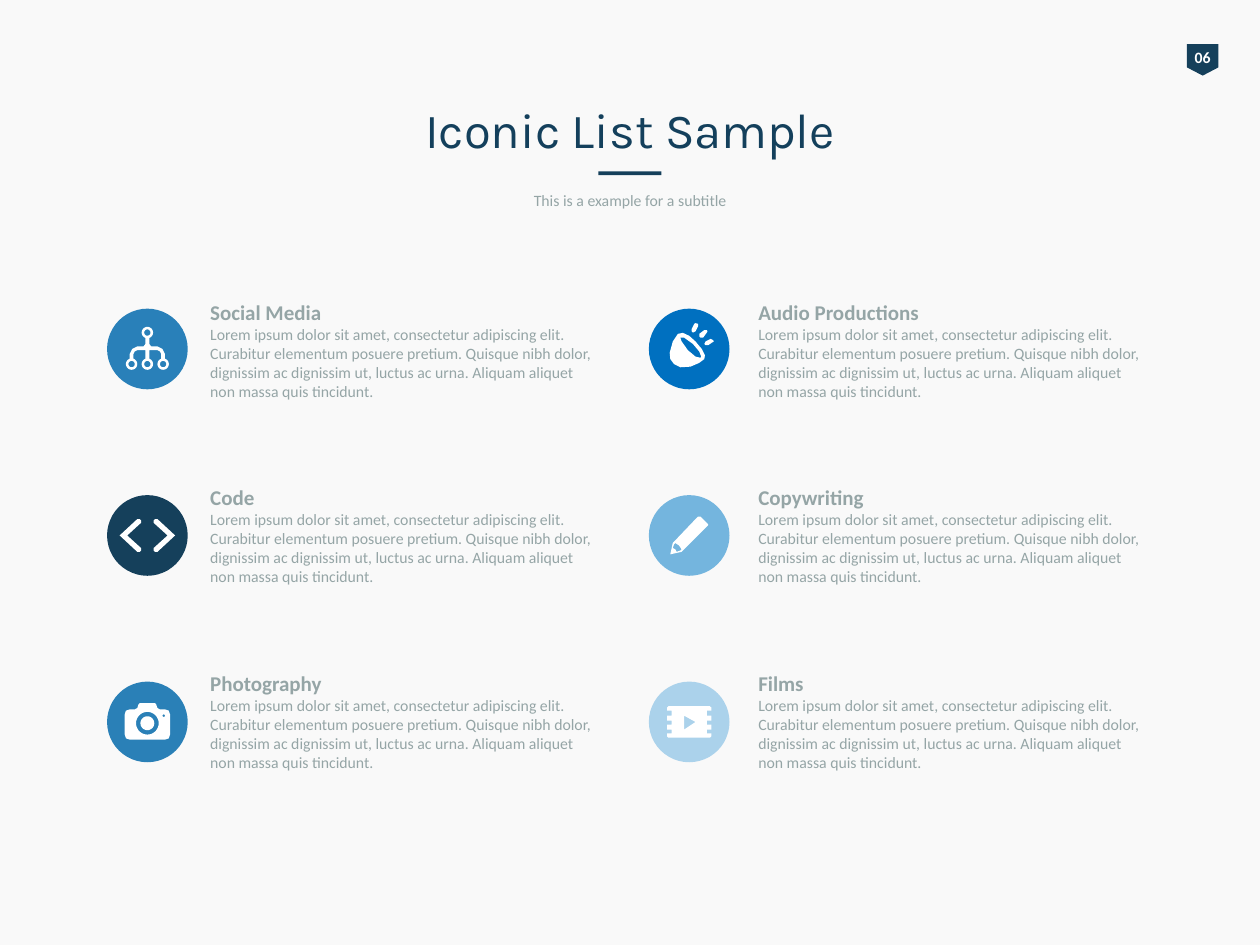
"""Builds the iconic list slide: six round icons, each with a heading and a text."""
from dataclasses import dataclass
from math import cos, pi, sin

from pptx import Presentation
from pptx import util as u
from pptx.dml.color import RGBColor
from pptx.enum import shapes, text
from pptx.oxml.xmlchemy import OxmlElement

Inches = u.Inches


@dataclass(frozen=True)
class Theme:
    """Colours, fonts and type sizes of the slide."""
    paper: str = "F9F9F9"
    navy: str = "15405B"
    title: str = "14405C"
    grey: str = "95A5A6"
    white: str = "FFFFFF"
    blue: str = "2980B9"
    steel: str = "2A80B7"
    bright: str = "0070C0"
    sky: str = "74B5DE"
    pale: str = "ABD2EB"
    title_font: str = "Karla"
    body_font: str = "Calibri"
    title_size: int = 28
    heading_size: int = 12
    body_size: int = 9


def circle(x, y, radius, steps=36):
    """Return the points of a circle."""
    turns = [2 * pi * i / steps for i in range(steps)]
    return [(x + radius * cos(t), y + radius * sin(t)) for t in turns]


def flip(points):
    """Return the points mirrored left to right."""
    return [(-x, y) for x, y in reversed(points)]


def mirrored(half):
    """Return a symmetric outline from its right half."""
    return half + flip(half)


def network():
    """Return a tree of four ringed nodes."""
    nodes = [(0, -13), (-12.5, 12), (0, 12), (12.5, 12)]
    branch = [(1.5, -8.7), (1.5, -4), (3, -2), (8, -2), (12, 0), (14, 4), (14, 7.7),
              (11, 7.7), (11, 4), (10, 2), (8, 1), (1.5, 1), (1.5, 7.7)]
    return [mirrored(branch)] + [circle(x, y, r) for x, y in nodes for r in (4.5, 2.5)]


def brackets():
    """Return a pair of angle brackets."""
    left = [(-8, -13), (-22, 0), (-8, 13), (-6, 13), (-5, 12), (-5, 10), (-16, 0),
            (-5, -10), (-5, -12), (-6, -13)]
    return [left, flip(left)]


def camera():
    """Return a camera with lens and light."""
    body = [(6, -15), (7, -14), (8, -11), (10, -10), (14, -10), (17, -9), (18, -6),
            (18, 10), (17, 13), (14, 14)]
    return [mirrored(body), circle(0, 1, 9), circle(0, 1, 5.5), circle(13, -5, 1)]


def horn():
    """Return a sounding horn with three rays."""
    bell = [(-9, -12), (-13, -6), (-15.5, 3), (-15, 8), (-12, 12), (-7, 14.5), (1, 14),
            (8, 11), (12, 8), (12.5, 5), (10, 0), (5, -6), (0, -10.5), (-5, -12.8)]
    mouth = [(9, 7), (5, 6), (-1, 1), (-6, -6), (-7, -9), (-4, -9), (3, -4), (8, 2), (9.5, 6)]
    rays = [
        [(2, -14), (3, -13), (5, -14), (7, -18), (7, -20), (5, -20.5), (4, -20), (2, -16)],
        [(8, -10), (9, -9), (11, -9), (14, -13), (14.5, -14), (14, -15), (12, -15), (8, -12)],
        [(12, -4), (13, -3), (15, -3), (18, -5), (19.5, -6), (19, -7), (17, -8), (13, -6)],
    ]
    return [bell, mouth] + rays


def pencil():
    """Return a slanted pencil."""
    body = [(7, -15), (9, -15), (12, -12), (15, -9), (15, -8), (-6, 13), (-15, 15), (-13, 6)]
    tip = [(-7, 12), (-10, 13), (-11, 11), (-13, 10), (-12, 7), (-11, 6), (-8, 8), (-6, 11)]
    return [body, tip]


def film():
    """Return a film strip with a play mark."""
    edge = [(16.5, -12.5), (17.5, -11.5)]
    for top, bottom in [(-9, -5), (-1, 2), (6, 9)]:
        edge += [(17.5, top), (14, top), (14, bottom), (17.5, bottom)]
    edge += [(17.5, 11.5), (16.5, 12.5)]
    return [mirrored(edge), [(-4, 6), (-4, -5), (5, 0)]]


class Deck:
    """Holds the theme and the current slide."""

    def __init__(self, prs, theme):
        """Open a title and content slide."""
        self.theme = theme
        self.s = prs.slides.add_slide(prs.slide_layouts[1])
        self.paint(self.s.background, theme.paper)

    def paint(self, target, colour):
        """Fill a target with one colour."""
        target.fill.solid()
        target.fill.fore_color.rgb = RGBColor.from_string(colour)

    def finish(self, sp, colour):
        """Give a shape a flat fill."""
        self.paint(sp, colour)
        sp.line.fill.background()
        sp.shadow.inherit = False
        return sp

    def shape(self, kind, box, colour, parent=None):
        """Add a preset shape."""
        parent = parent or self.s
        return self.finish(parent.shapes.add_shape(kind, *map(Inches, box)), colour)

    def run(self, p, words, size, colour, font=None, bold=False):
        """Add one formatted run."""
        r = p.add_run()
        r.text = words
        r.font.size, r.font.bold = u.Pt(size), bold
        r.font.name = font or self.theme.body_font
        r.font.color.rgb = RGBColor.from_string(colour)

    def placeholder(self, sp, box, words, size, colour, font, anchor):
        """Place and fill a centred placeholder."""
        sp.left, sp.top, sp.width, sp.height = map(Inches, box)
        tf = sp.text_frame
        tf.auto_size, tf.vertical_anchor = text.MSO_AUTO_SIZE.NONE, anchor
        p = tf.paragraphs[0]
        p.alignment, p.space_before = text.PP_ALIGN.CENTER, u.Pt(0)
        pPr = p._p.get_or_add_pPr()
        pPr.set("marL", "0")
        pPr.set("indent", "0")
        pPr.append(OxmlElement("a:buNone"))
        self.run(p, words, size, colour, font)

    def textbox(self, box, wrap=True):
        """Add a text box and return its first paragraph."""
        tf = self.s.shapes.add_textbox(*map(Inches, box)).text_frame
        tf.word_wrap = wrap
        return tf.paragraphs[0]

    def badge(self, number):
        """Add the page number on its tag."""
        tag = self.shape(shapes.MSO_SHAPE.PENTAGON, (9.42, 0.35, 0.25, 0.25), self.theme.navy)
        tag.rotation, tag.adjustments[0] = 90, 0.26
        p = self.textbox((9.38, 0.33, 0.33, 0.19), wrap=False)
        p.alignment = text.PP_ALIGN.CENTER
        self.run(p, number, self.theme.body_size, self.theme.white, bold=True)

    def icon(self, x, y, colour, contours, size=0.64):
        """Add a disc with a white sign, drawn in hundredths of an inch from its centre."""
        group = self.s.shapes.add_group_shape()
        self.shape(shapes.MSO_SHAPE.OVAL, (x, y, size, size), colour, group)
        outlines = [[(Inches(x + size / 2 + dx / 100), Inches(y + size / 2 + dy / 100))
                     for dx, dy in contour] for contour in contours]
        pen = group.shapes.build_freeform(*outlines[0][0])
        for i, outline in enumerate(outlines):
            if i:
                pen.move_to(*outline[0])
            pen.add_line_segments(outline[1:], close=True)
        self.finish(pen.convert_to_shape(), self.theme.white)

    def entry(self, x, y, heading, words):
        """Add a heading with its text below."""
        p = self.textbox((x, y, 3.23, 0.98))
        self.run(p, heading, self.theme.heading_size, self.theme.grey, bold=True)
        p.add_line_break()
        self.run(p, words, self.theme.body_size, self.theme.grey)


def main():
    """Build and save the slide."""
    prs = Presentation()
    prs.slide_width, prs.slide_height = Inches(10), Inches(7.5)
    theme = Theme()
    deck = Deck(prs, theme)
    title, subtitle = deck.s.placeholders
    deck.badge("06")
    deck.placeholder(title, (0.5, 0.81, 9, 0.43), "Iconic List Sample", theme.title_size,
                     theme.title, theme.title_font, text.MSO_ANCHOR.MIDDLE)
    deck.placeholder(subtitle, (0.5, 1.46, 9, 0.19), "This is a example for a subtitle",
                     theme.body_size, theme.grey, theme.body_font, text.MSO_ANCHOR.TOP)
    deck.shape(shapes.MSO_SHAPE.RECTANGLE, (4.75, 1.36, 0.5, 0.03), theme.navy)

    lorem = ("Lorem ipsum dolor sit amet, consectetur adipiscing elit. Curabitur elementum "
             "posuere pretium. Quisque nibh dolor, dignissim ac dignissim ut, luctus ac urna. "
             "Aliquam aliquet non massa quis tincidunt.")
    columns = [
        (0.85, 1.57, [("Social Media", theme.blue, network), ("Code", theme.navy, brackets),
                      ("Photography", theme.steel, camera)]),
        (5.15, 5.92, [("Audio Productions", theme.bright, horn),
                      ("Copywriting", theme.sky, pencil), ("Films", theme.pale, film)]),
    ]
    for icon_x, text_x, items in columns:
        for row, (heading, colour, sign) in enumerate(items):
            deck.icon(icon_x, 2.45 + 1.48 * row, colour, sign())
            deck.entry(text_x, 2.33 + 1.47 * row, heading, lorem)
    prs.save("out.pptx")


if __name__ == "__main__":
    main()
